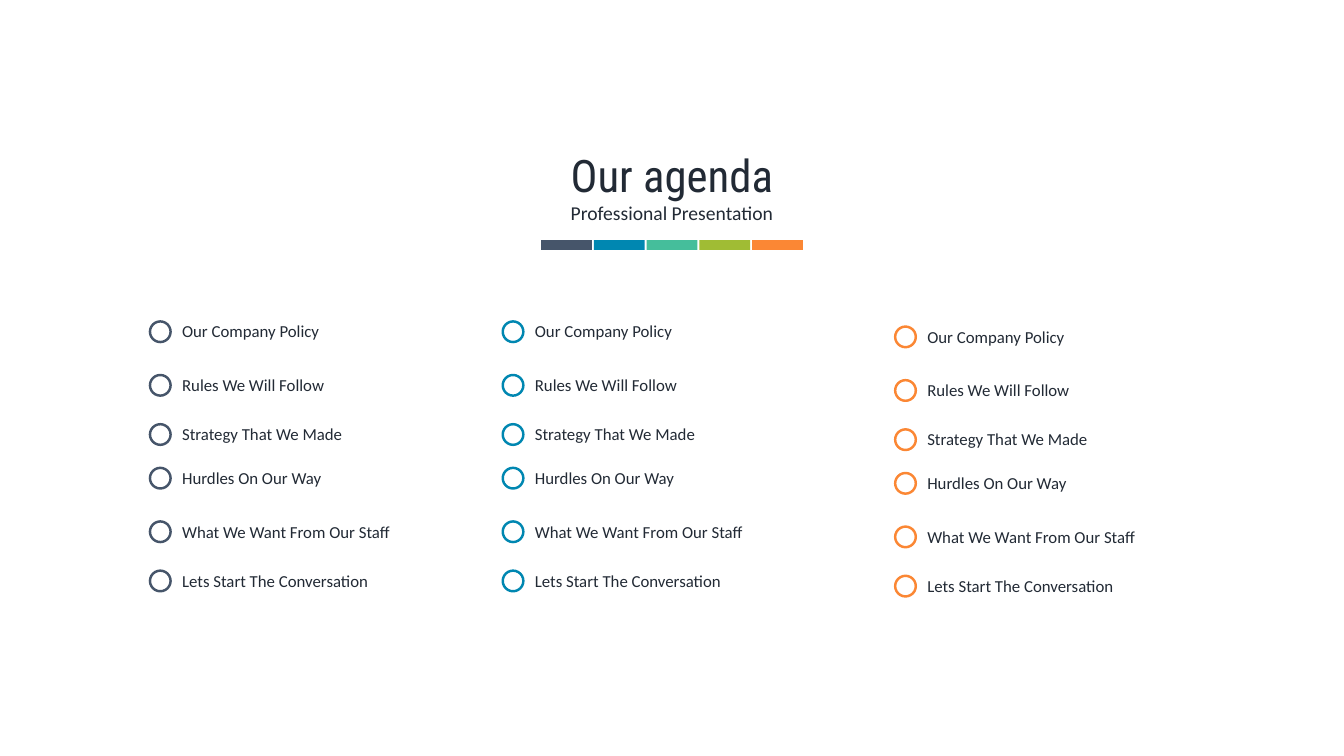
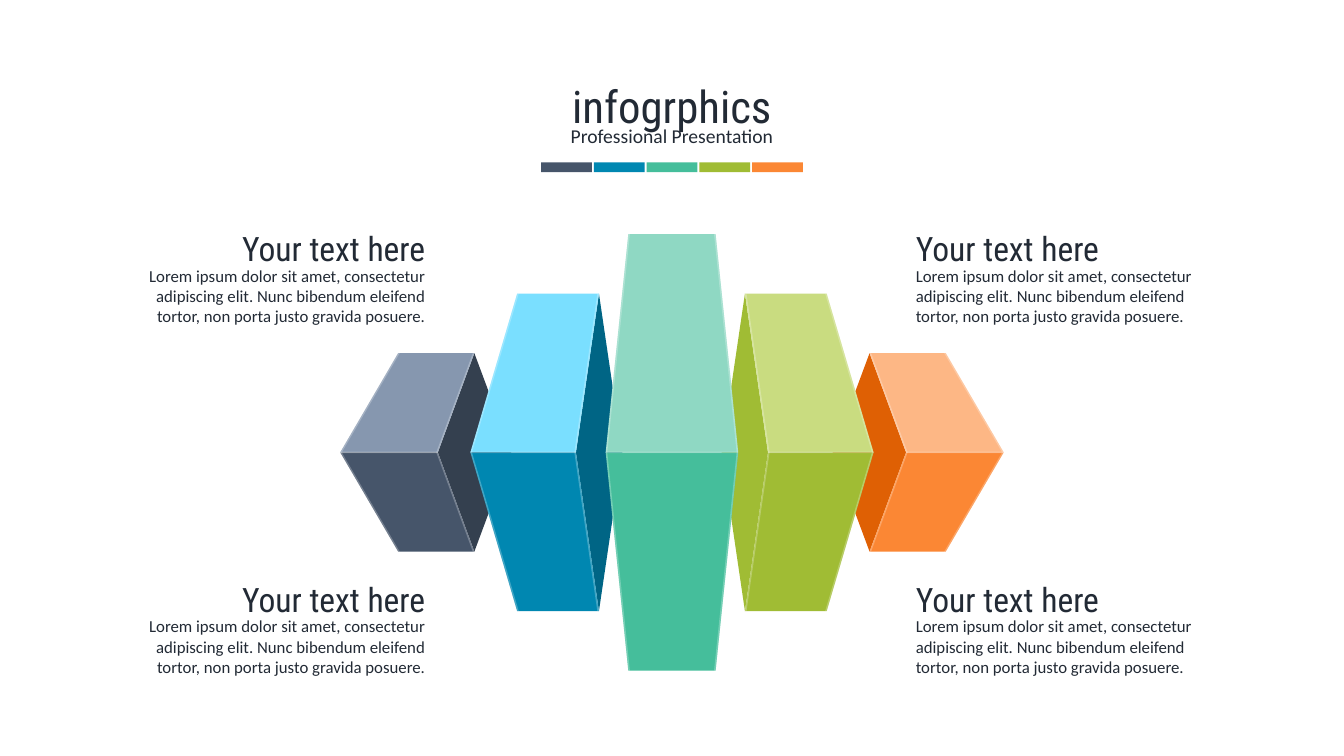
from dataclasses import dataclass
from itertools import product

from lxml.etree import SubElement
from pptx import Presentation
from pptx.dml.color import RGBColor
from pptx.enum.shapes import MSO_SHAPE
from pptx.enum.text import PP_ALIGN
from pptx.oxml.ns import qn
from pptx.util import Cm, Pt


@dataclass(frozen=True)
class Theme:
    ink: str = "222A35"
    white: str = "FFFFFF"
    navy: str = "46556A"
    blue: str = "0087B1"
    teal: str = "45BE9B"
    green: str = "A0BC34"
    orange: str = "FB8734"
    navy_light: str = "8697AF"
    navy_dark: str = "34404F"
    blue_light: str = "7ADFFF"
    blue_dark: str = "006585"
    teal_light: str = "8FD8C3"
    green_light: str = "C9DC80"
    orange_light: str = "FDB785"
    orange_dark: str = "DF6004"
    heading_font: str = "Roboto Condensed"
    body_font: str = "Calibri"
    title_size: int = 32
    heading_size: int = 24
    subtitle_size: int = 14
    body_size: int = 12
    ring_width: float = 1.75
    glint_opacity: int = 25

    @property
    def accents(self):
        return self.navy, self.blue, self.teal, self.green, self.orange


@dataclass(frozen=True)
class Block:
    """Half height and distances from the middle of the figure, in cm."""
    height: float
    inner_top: float
    inner_mid: float
    outer_top: float
    outer_mid: float
    side_mid: float = 0


THEME = Theme()
PAGE_WIDTH, PAGE_HEIGHT = 33.87, 19.05
GLINT = 0.04

OUTER_BLOCK = Block(2.5, 4.98, 5.9, 6.9, 8.36, 4.05)
INNER_BLOCK = Block(4, 1.84, 2.42, 3.9, 5.08, 1.25)
CENTRE_BLOCK = Block(5.5, -1.1, -1.67, 1.1, 1.67)

AGENDA = [
    "Our Company Policy",
    "Rules We Will Follow",
    "Strategy That We Made",
    "Hurdles On Our Way",
    "What We Want From Our Staff",
    "Lets Start The Conversation",
]
LOREM = ("Lorem ipsum dolor sit amet, consectetur adipiscing elit. "
         "Nunc bibendum eleifend tortor, non porta justo gravida posuere.")


def add_text(page, text, left, top, width, height, *, size=THEME.body_size,
             font=THEME.body_font, align=PP_ALIGN.LEFT):
    box = page.shapes.add_textbox(Cm(left), Cm(top), Cm(width), Cm(height))
    box.text_frame.word_wrap = True
    para = box.text_frame.paragraphs[0]
    para.alignment = align
    span = para.add_run()
    span.text = text
    span.font.name = font
    span.font.size = Pt(size)
    span.font.color.rgb = RGBColor.from_string(THEME.ink)


def paint(shape, fill, line=None):
    shape.shadow.inherit = False
    shape.fill.solid()
    shape.fill.fore_color.rgb = RGBColor.from_string(fill)
    if line:
        shape.line.color.rgb = RGBColor.from_string(line)
        shape.line.width = Pt(THEME.ring_width)
    else:
        shape.line.fill.background()


def add_preset(page, kind, left, top, width, height, fill, line=None):
    shape = page.shapes.add_shape(kind, Cm(left), Cm(top), Cm(width), Cm(height))
    paint(shape, fill, line)


def add_header(page, title, top, subtitle_gap):
    """Centred title and subtitle over a strip of the accent colours."""
    add_text(page, title, 0, top, PAGE_WIDTH, 1.63, size=THEME.title_size,
             font=THEME.heading_font, align=PP_ALIGN.CENTER)
    subtitle_top = top + subtitle_gap
    add_text(page, "Professional Presentation", 0, subtitle_top, PAGE_WIDTH, 0.86,
             size=THEME.subtitle_size, align=PP_ALIGN.CENTER)
    bar_width, pitch = 1.28, 1.33
    strip_width = pitch * (len(THEME.accents) - 1) + bar_width
    left = (PAGE_WIDTH - strip_width) / 2
    for index, color in enumerate(THEME.accents):
        add_preset(page, MSO_SHAPE.RECTANGLE, left + index * pitch,
                   subtitle_top + 1.1, bar_width, 0.25, color)


def add_agenda_column(page, left, top, color):
    """Ringed items in two sets of three, each set spaced alike."""
    ring = 0.52
    offsets = [start + step for start, step in product((0, 3.69), (0, 1.35, 2.59))]
    for item, offset in zip(AGENDA, offsets):
        add_preset(page, MSO_SHAPE.OVAL, left, top + offset + 0.13, ring, ring,
                   THEME.white, color)
        add_text(page, item, left + 0.56, top + offset, 9.32, 0.77)


def add_polygon(page, center, side, points, fill, opacity=None):
    """Polygon from points around center; side -1 mirrors it to the left."""
    center_x, center_y = center
    spots = [(Cm(center_x + side * x), Cm(center_y + y)) for x, y in points]
    builder = page.shapes.build_freeform(*spots[0], scale=1.0)
    builder.add_line_segments(spots[1:], close=True)
    shape = builder.convert_to_shape()
    paint(shape, fill)
    if opacity is not None:
        color = shape.element.spPr.find(f"{qn('a:solidFill')}/{qn('a:srgbClr')}")
        SubElement(color, qn("a:alpha"), val=str(opacity * 1000))


def add_block(page, center, side, block, light, front, dark=None):
    """One block: dark side, light upper face, front face and pale edges."""
    height = block.height
    if dark:
        add_polygon(page, center, side, [
            (block.inner_mid, 0), (block.inner_top, -height),
            (block.side_mid, 0), (block.inner_top, height)], dark)
    for edge, color in ((-height, light), (height, front)):
        add_polygon(page, center, side, [
            (block.inner_mid, 0), (block.inner_top, edge),
            (block.outer_top, edge), (block.outer_mid, 0)], color)

    half = GLINT / 2
    seam = [(block.inner_mid, -half), (block.outer_mid, -half),
            (block.outer_mid, half), (block.inner_mid, half)]
    edges = [
        [(top, -height), (mid, 0), (top, height),
         (top + shift, height), (mid + shift, 0), (top + shift, -height)]
        for top, mid, shift in ((block.inner_top, block.inner_mid, GLINT),
                                (block.outer_top, block.outer_mid, -GLINT))]
    for points in [seam, *edges]:
        add_polygon(page, center, side, points, THEME.white, THEME.glint_opacity)


def add_block_figure(page, center):
    add_block(page, center, -1, OUTER_BLOCK,
              THEME.navy_light, THEME.navy, THEME.navy_dark)
    add_block(page, center, -1, INNER_BLOCK,
              THEME.blue_light, THEME.blue, THEME.blue_dark)
    add_block(page, center, 1, OUTER_BLOCK,
              THEME.orange_light, THEME.orange, THEME.orange_dark)
    add_block(page, center, 1, INNER_BLOCK,
              THEME.green_light, THEME.green, THEME.green)
    add_block(page, center, 1, CENTRE_BLOCK, THEME.teal_light, THEME.teal)


def add_caption(page, left, top, align):
    width = 8.05
    add_text(page, LOREM, left, top + 0.93, width, 1.8, align=align)
    add_text(page, "Your text here", left, top, width, 1.27,
             size=THEME.heading_size, font=THEME.heading_font, align=align)


def add_page(deck):
    return deck.slides.add_slide(deck.slide_layouts[6])


def build_agenda(deck):
    page = add_page(deck)
    add_header(page, "Our agenda", 3.61, 1.34)
    for left, top, color in ((3.78, 7.97, THEME.navy),
                             (12.67, 7.97, THEME.blue),
                             (22.56, 8.1, THEME.orange)):
        add_agenda_column(page, left, top, color)


def build_infographic(deck):
    page = add_page(deck)
    add_header(page, "infogrphics", 1.85, 1.14)
    add_block_figure(page, (PAGE_WIDTH / 2, 11.4))
    columns = ((2.92, PP_ALIGN.RIGHT), (22.83, PP_ALIGN.LEFT))
    for (left, align), top in product(columns, (5.63, 14.47)):
        add_caption(page, left, top, align)


def main():
    deck = Presentation()
    deck.slide_width, deck.slide_height = Cm(PAGE_WIDTH), Cm(PAGE_HEIGHT)
    build_agenda(deck)
    build_infographic(deck)
    deck.save("out.pptx")


if __name__ == "__main__":
    main()
